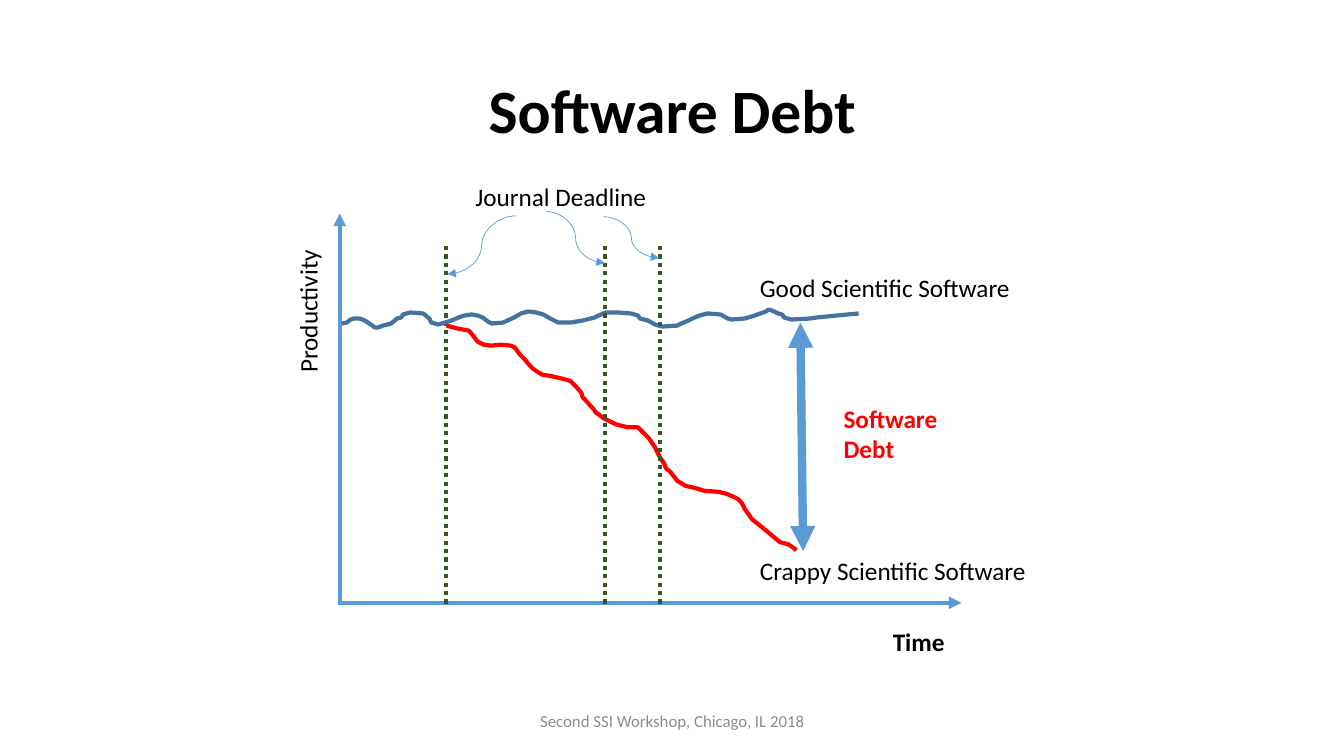
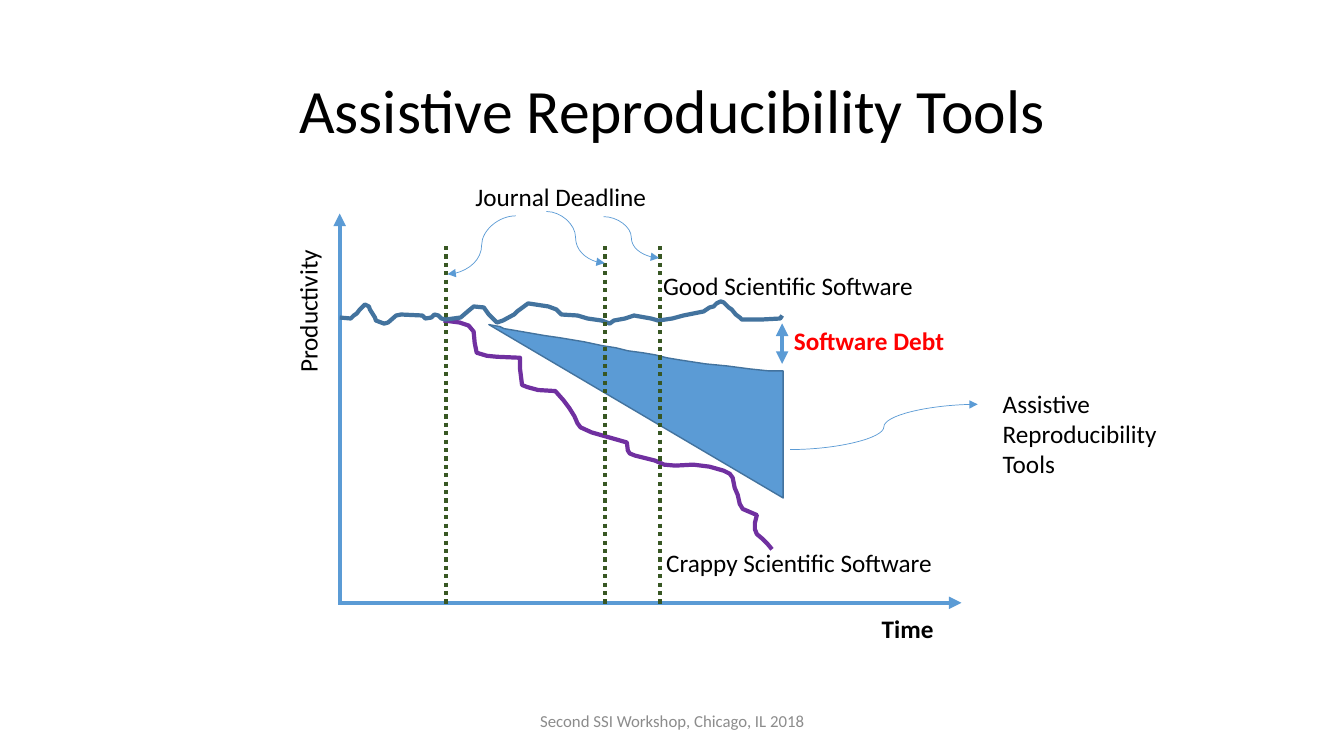
from dataclasses import dataclass

from lxml import etree
from pptx import Presentation
from pptx.dml.color import RGBColor
from pptx.enum.dml import MSO_LINE
from pptx.enum.shapes import MSO_CONNECTOR
from pptx.enum.text import MSO_ANCHOR, PP_ALIGN
from pptx.oxml.ns import qn
from pptx.util import Cm, Pt

STRAIGHT = MSO_CONNECTOR.STRAIGHT
CURVED = MSO_CONNECTOR.CURVE
DOTTED = MSO_LINE.ROUND_DOT
MIDDLE = MSO_ANCHOR.MIDDLE
LEFT = PP_ALIGN.LEFT
CENTER = PP_ALIGN.CENTER
TITLE_ONLY = 5


@dataclass(frozen=True)
class Theme:
    """Colours, type sizes and line widths shared by the slides."""

    font: str = "Calibri"
    text: RGBColor = RGBColor(0x00, 0x00, 0x00)
    footer: RGBColor = RGBColor(0x8C, 0x8C, 0x8C)
    blue: RGBColor = RGBColor(0x5B, 0x9B, 0xD5)
    dark_blue: RGBColor = RGBColor(0x43, 0x73, 0x9E)
    green: RGBColor = RGBColor(0x38, 0x57, 0x23)
    red: RGBColor = RGBColor(0xFF, 0x00, 0x00)
    purple: RGBColor = RGBColor(0x70, 0x30, 0xA0)
    title_size: Pt = Pt(44)
    label_size: Pt = Pt(18)
    footer_size: Pt = Pt(12)
    hairline: Pt = Pt(0.5)
    outline: Pt = Pt(1)
    stroke: Pt = Pt(3)
    heavy: Pt = Pt(6)


@dataclass(frozen=True)
class Box:
    """A region of the slide, in centimetres."""

    left: float
    top: float
    width: float
    height: float

    def inside(self, left, top, width, height):
        """Return a box placed relative to this one."""
        return Box(self.left + left, self.top + top, width, height)

    def point(self, x, y):
        """Return the slide position of a point in this box."""
        return Cm(self.left + x), Cm(self.top + y)

    def lengths(self):
        """Return left, top, width and height as lengths."""
        return Cm(self.left), Cm(self.top), Cm(self.width), Cm(self.height)


THEME = Theme()
PAGE = Box(0, 0, 33.87, 19.05)
TITLE = PAGE.inside(2.34, 1.02, 29.21, 3.68)
FOOTER = PAGE.inside(11.23, 17.65, 11.43, 1.02)
DIAGRAM = PAGE.inside(7.62, 5.08, 22, 11.6)
CURVE_UNIT = Cm(0.0254)
LINE_HEIGHT = 1.02
AXIS_X, AXIS_Y = 0.94, 10.11
DEADLINES = (3.61, 7.62, 9.02)
DEADLINE_ARROWS = (
    ((5.38, 0.36), (3.66, 1.83)),
    ((6.15, 0.25), (7.62, 1.55)),
    ((7.59, 0.38), (8.99, 1.42)),
)

STEADY_CURVE = (
    (39, 121), (44, 120), (48, 117), (51, 116), (57, 116), (62, 118), (68, 122),
    (72, 125), (75, 125), (80, 123), (88, 121), (94, 116), (98, 115), (100, 112),
    (107, 110), (120, 111), (126, 116), (128, 120), (135, 122), (148, 118),
    (155, 115), (161, 113), (168, 112), (174, 113), (179, 115), (184, 119),
    (188, 121), (199, 120), (210, 115), (217, 111), (224, 109), (232, 110),
    (239, 112), (246, 116), (254, 120), (266, 120), (278, 118), (290, 115),
    (294, 113), (301, 110), (314, 110), (326, 111), (333, 113), (335, 116),
    (343, 118), (350, 122), (357, 124), (372, 123), (376, 121), (383, 118),
    (387, 116), (394, 113), (402, 111), (415, 112), (422, 116), (426, 117),
    (439, 116), (449, 113), (460, 109), (463, 107), (468, 109), (472, 111),
    (476, 112), (478, 115), (485, 117), (504, 116), (510, 115), (541, 112),
    (552, 111),
)
DEBT_CURVE = (
    (143, 123), (154, 126), (165, 128), (167, 130), (174, 139), (180, 142),
    (187, 143), (197, 142), (207, 143), (211, 145), (216, 152), (221, 157),
    (226, 163), (229, 166), (235, 170), (239, 172), (246, 173), (259, 176),
    (266, 178), (272, 184), (277, 190), (278, 194), (280, 196), (289, 206),
    (291, 209), (299, 215), (311, 221), (315, 222), (323, 224), (333, 224),
    (339, 230), (344, 235), (350, 244), (355, 254), (359, 260), (361, 265),
    (365, 268), (372, 277), (380, 282), (389, 284), (399, 287), (413, 288),
    (421, 290), (428, 293), (432, 295), (436, 299), (439, 305), (446, 315),
    (456, 323), (462, 328), (468, 333), (474, 338), (482, 340), (488, 344),
    (490, 346),
)
ASSISTED_CURVE = (
    (37, 115), (48, 116), (51, 113), (54, 111), (57, 107), (62, 102), (66, 104),
    (67, 107), (72, 115), (73, 118), (81, 121), (85, 120), (93, 113), (98, 112),
    (119, 113), (122, 116), (128, 115), (131, 112), (135, 113), (138, 116),
    (142, 117), (157, 115), (164, 109), (170, 104), (180, 105), (185, 112),
    (193, 120), (199, 118), (210, 112), (213, 109), (224, 101), (244, 104),
    (252, 107), (257, 112), (273, 113), (283, 116), (297, 118), (305, 121),
    (309, 118), (320, 116), (329, 113), (346, 116), (353, 118), (367, 116),
    (378, 113), (398, 109), (404, 105), (408, 104), (411, 101), (415, 99),
    (418, 100), (423, 105), (426, 107), (430, 112), (434, 115), (436, 117),
    (455, 117), (474, 116), (476, 113),
)
STEPPED_CURVE = (
    (140, 118), (156, 120), (165, 123), (170, 129), (171, 140), (173, 150),
    (183, 153), (193, 154), (216, 155), (216, 166), (218, 182), (223, 184),
    (234, 187), (251, 188), (259, 197), (265, 205), (270, 213), (273, 220),
    (276, 224), (287, 229), (322, 239), (323, 247), (325, 250), (330, 252),
    (350, 257), (359, 261), (370, 262), (388, 261), (404, 263), (418, 267),
    (424, 270), (427, 274), (429, 284), (432, 291), (434, 300), (437, 305),
    (451, 311), (449, 319), (449, 325), (451, 330), (457, 335), (461, 339),
    (466, 345),
)
TOOLS_WEDGE = (
    (185, 122), (196, 124), (200, 126), (212, 128), (241, 133), (255, 135),
    (279, 139), (298, 143), (311, 145), (323, 148), (338, 150), (350, 152),
    (362, 155), (374, 157), (400, 161), (421, 163), (444, 166), (463, 168),
    (477, 168), (477, 294),
)


def write_lines(shape, lines, size, color, bold=False, align=LEFT):
    """Fill a shape with one formatted paragraph for each line."""
    frame = shape.text_frame
    for index, line in enumerate(lines):
        paragraph = frame.add_paragraph() if index else frame.paragraphs[0]
        paragraph.text = line
        paragraph.alignment = align
        paragraph.font.name = THEME.font
        paragraph.font.size = size
        paragraph.font.bold = bold
        paragraph.font.color.rgb = color


def add_label(slide, box, *lines, color=THEME.text, bold=False, rotation=0):
    """Add a diagram label."""
    label = slide.shapes.add_textbox(*box.lengths())
    label.text_frame.word_wrap = False
    label.rotation = rotation
    write_lines(label, lines, THEME.label_size, color, bold)


def add_line(slide, box, start, end, kind=STRAIGHT, color=THEME.blue,
             width=THEME.stroke, dash=None, arrows=()):
    """Add a connector between two points of a box."""
    connector = slide.shapes.add_connector(kind, *box.point(*start), *box.point(*end))
    line = connector.line
    line.color.rgb = color
    line.width = width
    if dash is not None:
        line.dash_style = dash
    properties = connector._element.spPr
    outline = properties.find(qn("a:ln"))
    for arrow in arrows:
        etree.SubElement(outline, qn(f"a:{arrow}End"), type="triangle")
    etree.SubElement(properties, qn("a:effectLst"))


def add_outline(slide, box, points, color, width=THEME.stroke, fill=None):
    """Draw points as an open curve, or as a closed area when filled."""
    builder = slide.shapes.build_freeform(*points[0], scale=CURVE_UNIT)
    builder.add_line_segments(points[1:], close=fill is not None)
    shape = builder.convert_to_shape(*box.point(0, 0))
    shape.shadow.inherit = False
    shape.line.color.rgb = color
    shape.line.width = width
    if fill is None:
        shape.fill.background()
    else:
        shape.fill.solid()
        shape.fill.fore_color.rgb = fill


def add_slide(presentation, title, bold=False):
    """Add a slide with its title and footer."""
    slide = presentation.slides.add_slide(presentation.slide_layouts[TITLE_ONLY])
    heading = slide.shapes.title
    heading.left, heading.top, heading.width, heading.height = TITLE.lengths()
    heading.text_frame.vertical_anchor = MIDDLE
    write_lines(heading, [title], THEME.title_size, THEME.text, bold, CENTER)
    heading.text_frame.paragraphs[0].line_spacing = 0.9
    footer = slide.shapes.add_textbox(*FOOTER.lengths())
    footer.text_frame.word_wrap = True
    footer.text_frame.vertical_anchor = MIDDLE
    write_lines(footer, ["Second SSI Workshop, Chicago, IL 2018"],
                THEME.footer_size, THEME.footer, align=CENTER)
    return slide


def draw_axes(slide, box, time_left, time_top):
    """Draw both axes and their names."""
    add_line(slide, box, (AXIS_X, 0.3), (AXIS_X, AXIS_Y), arrows=["head"])
    add_line(slide, box, (16.61, AXIS_Y), (0.89, AXIS_Y), arrows=["head"])
    add_label(slide, box.inside(-1.68, 2.24, 3.63, LINE_HEIGHT), "Productivity",
              rotation=270)
    add_label(slide, box.inside(time_left, time_top, 1.83, LINE_HEIGHT), "Time",
              bold=True)


def draw_deadlines(slide, box, positions):
    """Draw dotted deadline lines."""
    for x in positions:
        add_line(slide, box, (x, 1.12), (x, 10.13), color=THEME.green, dash=DOTTED)


def draw_deadline_callout(slide, box):
    """Draw the deadline label and its arrows."""
    add_label(slide, box.inside(4.11, -0.64, 4.88, LINE_HEIGHT), "Journal Deadline")
    for start, end in DEADLINE_ARROWS:
        add_line(slide, box, start, end, CURVED, width=THEME.hairline, arrows=["tail"])


def draw_software_labels(slide, box, good, crappy):
    """Name the two software curves at the given places."""
    add_label(slide, box.inside(*good, 6.91, LINE_HEIGHT), "Good Scientific Software")
    add_label(slide, box.inside(*crappy, 7.32, LINE_HEIGHT),
              "Crappy Scientific Software")


def draw_debt(slide, box):
    """Draw the growing gap between good and crappy software."""
    draw_axes(slide, box, 14.63, 10.57)
    draw_deadlines(slide, box, DEADLINES[:1])
    add_line(slide, box, (12.55, 3.05), (12.62, 8.81), width=THEME.heavy,
             arrows=["head", "tail"])
    add_label(slide, box.inside(13.39, 4.95, 3.81, 1.8), "Software", "Debt",
              color=THEME.red, bold=True)
    draw_software_labels(slide, box, (11.28, 1.65), (11.28, 8.79))
    add_outline(slide, box, STEADY_CURVE, THEME.dark_blue)
    add_outline(slide, box, DEBT_CURVE, THEME.red)
    draw_deadlines(slide, box, DEADLINES[1:])
    draw_deadline_callout(slide, box)


def draw_tools(slide, box):
    """Draw how assistive tools narrow the gap."""
    draw_axes(slide, box, 14.35, 10.24)
    draw_deadlines(slide, box, DEADLINES[:1])
    add_outline(slide, box, STEPPED_CURVE, THEME.purple)
    add_label(slide, box.inside(12.14, 3, 4.57, LINE_HEIGHT), "Software Debt",
              color=THEME.red, bold=True)
    add_outline(slide, box, ASSISTED_CURVE, THEME.dark_blue)
    draw_software_labels(slide, box, (8.84, 1.6), (8.92, 8.59))
    add_line(slide, box, (12.29, 6.25), (17.02, 5.11), CURVED,
             width=THEME.hairline, arrows=["tail"])
    add_line(slide, box, (12.09, 3.07), (12.09, 4.09), arrows=["head", "tail"])
    add_outline(slide, box, TOOLS_WEDGE, THEME.dark_blue, THEME.outline, THEME.blue)
    add_label(slide, box.inside(17.4, 4.57, 4.57, 2.57), "Assistive",
              "Reproducibility", "Tools")
    draw_deadlines(slide, box, DEADLINES[1:])
    draw_deadline_callout(slide, box)


def main():
    """Build and save the presentation."""
    presentation = Presentation()
    presentation.slide_width = Cm(PAGE.width)
    presentation.slide_height = Cm(PAGE.height)
    draw_debt(add_slide(presentation, "Software Debt", bold=True), DIAGRAM)
    draw_tools(add_slide(presentation, "Assistive Reproducibility Tools"), DIAGRAM)
    presentation.save("out.pptx")


if __name__ == "__main__":
    main()
